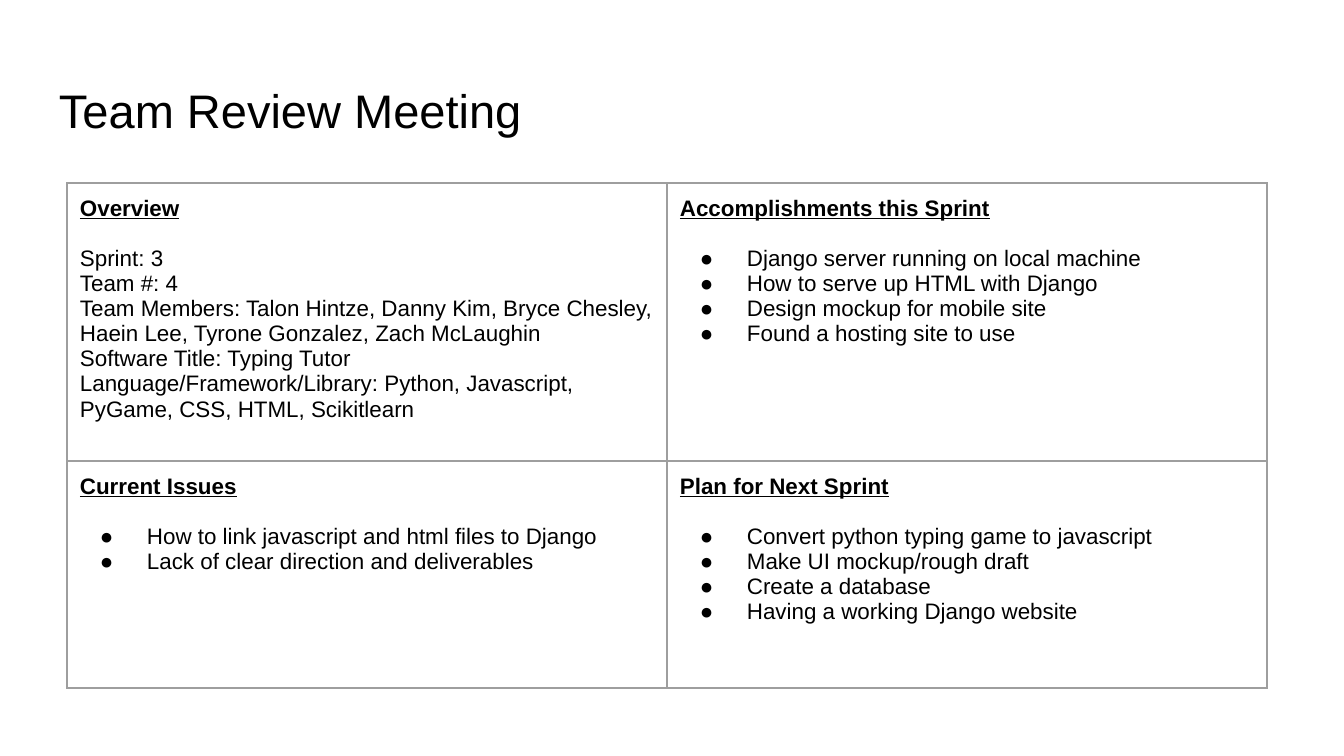
"""Build the team review meeting slide."""
from dataclasses import dataclass

from lxml.etree import SubElement
from pptx import Presentation
from pptx.dml.color import RGBColor
from pptx.enum.text import MSO_ANCHOR
from pptx.oxml.ns import qn
from pptx.util import Emu, Pt

WIDTH, HEIGHT = 1344, 756
SCALE = 9144000 / WIDTH


def px(n):
    return Emu(round(n * SCALE))


@dataclass(frozen=True)
class Theme:
    font: str = "Arial"
    ink: str = "000000"
    border: str = "9E9E9E"
    title: float = 25.2
    body: float = 12
    heading_gap: float = 13.5
    rule: float = 0.75
    pad: int = 13
    indent: int = 67
    hang: int = 47


class Deck:
    def __init__(self, theme):
        self.theme = theme
        self.prs = Presentation()
        self.prs.slide_width, self.prs.slide_height = px(WIDTH), px(HEIGHT)
        self.s = self.prs.slides.add_slide(self.prs.slide_layouts[6])

    def run(self, p, text, size, strong=False):
        r = p.add_run()
        r.text = text
        r.font.name = self.theme.font
        r.font.size = Pt(size)
        r.font.bold = r.font.underline = strong
        r.font.color.rgb = RGBColor.from_string(self.theme.ink)

    def pad(self, box):
        box.margin_left = box.margin_right = px(self.theme.pad)
        box.margin_top = box.margin_bottom = px(self.theme.pad)

    def title(self, text, x, y, w, h):
        tf = self.s.shapes.add_textbox(px(x), px(y), px(w), px(h)).text_frame
        tf.word_wrap = True
        tf.vertical_anchor = MSO_ANCHOR.BOTTOM
        self.pad(tf)
        self.run(tf.paragraphs[0], text, self.theme.title)

    def bullet(self, p):
        pPr = p._p.get_or_add_pPr()
        pPr.set("marL", str(px(self.theme.indent)))
        pPr.set("indent", str(-px(self.theme.hang)))
        color = SubElement(pPr, qn("a:buClr"))
        SubElement(color, qn("a:srgbClr"), val=self.theme.ink)
        SubElement(pPr, qn("a:buFont"), typeface=self.theme.font)
        SubElement(pPr, qn("a:buChar"), char="●")

    def borders(self, cell):
        tcPr = cell._tc.get_or_add_tcPr()
        for side in ("lnL", "lnR", "lnT", "lnB"):
            ln = SubElement(tcPr, qn(f"a:{side}"), w=str(Pt(self.theme.rule)))
            fill = SubElement(ln, qn("a:solidFill"))
            SubElement(fill, qn("a:srgbClr"), val=self.theme.border)

    def cell(self, cell, heading, lines, bulleted):
        self.pad(cell)
        self.borders(cell)
        cell.fill.background()
        tf = cell.text_frame
        p = tf.paragraphs[0]
        p.space_after = Pt(self.theme.heading_gap)
        self.run(p, heading, self.theme.body, strong=True)
        for line in lines:
            p = tf.add_paragraph()
            if bulleted:
                self.bullet(p)
            self.run(p, line, self.theme.body)

    def table(self, rows, x, y, col_width, heights):
        cols = len(rows[0])
        frame = self.s.shapes.add_table(
            len(rows), cols, px(x), px(y), px(col_width * cols), px(sum(heights)))
        table = frame.table
        table.first_row = table.horz_banding = False
        for col in table.columns:
            col.width = px(col_width)
        for row, height, contents in zip(table.rows, heights, rows):
            row.height = px(height)
            for cell, content in zip(row.cells, contents):
                self.cell(cell, *content)


OVERVIEW = [
    "Sprint: 3",
    "Team #: 4",
    "Team Members: Talon Hintze, Danny Kim, Bryce Chesley, "
    "Haein Lee, Tyrone Gonzalez, Zach McLaughin",
    "Software Title: Typing Tutor",
    "Language/Framework/Library: Python, Javascript, PyGame, CSS, HTML, Scikitlearn",
]
ACCOMPLISHMENTS = [
    "Django server running on local machine",
    "How to serve up HTML with Django",
    "Design mockup for mobile site",
    "Found a hosting site to use",
]
ISSUES = [
    "How to link javascript and html files to Django",
    "Lack of clear direction and deliverables",
]
PLAN = [
    "Convert python typing game to javascript",
    "Make UI mockup/rough draft",
    "Create a database",
    "Having a working Django website",
]


def main():
    deck = Deck(Theme())
    deck.title("Team Review Meeting", 46, 66, 1252, 85)
    deck.table(
        [
            [("Overview", OVERVIEW, False),
             ("Accomplishments this Sprint", ACCOMPLISHMENTS, True)],
            [("Current Issues", ISSUES, True),
             ("Plan for Next Sprint", PLAN, True)],
        ],
        67, 183, 600, [278, 227])
    deck.prs.save("out.pptx")


if __name__ == "__main__":
    main()
